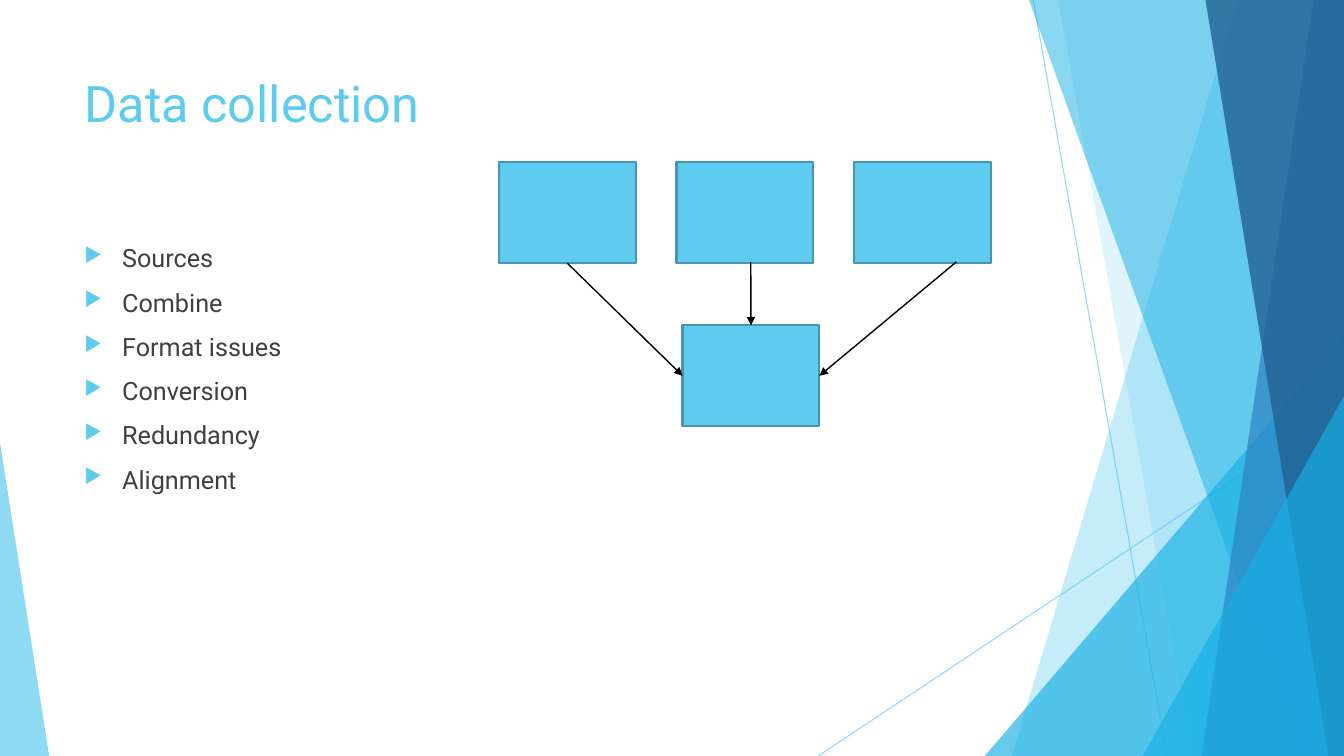
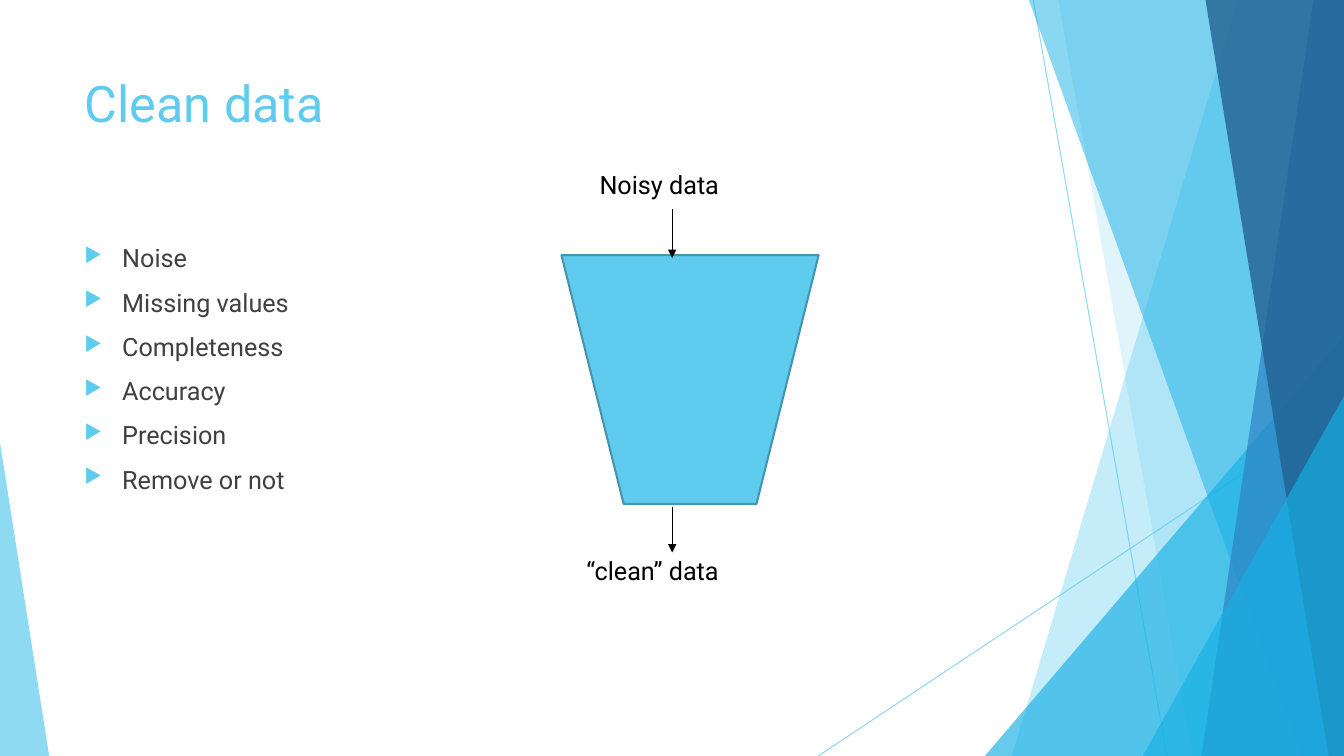
from dataclasses import dataclass

from lxml.etree import SubElement
from pptx import Presentation
from pptx.dml.color import RGBColor
from pptx.enum.shapes import MSO_CONNECTOR, MSO_SHAPE
from pptx.enum.text import MSO_ANCHOR, MSO_AUTO_SIZE, PP_ALIGN
from pptx.oxml.ns import qn
from pptx.shapes.autoshape import Shape
from pptx.shapes.connector import Connector
from pptx.slide import Slide, SlideLayout
from pptx.text.text import TextFrame
from pptx.util import Cm, Pt

WIDTH, HEIGHT = 33.87, 19.05
FONT = "Roboto"
COLOURS = {
    "sky": "5FCBEF",
    "cyan": "17B0E4",
    "blue": "2E83C3",
    "navy": "226292",
    "outline": "4696B1",
    "body": "404040",
    "black": "000000",
}


@dataclass(frozen=True)
class Band:
    """Area from a slanted left edge to the right side of the slide."""
    top_x: float
    bottom_x: float
    colour: str
    opacity: int


@dataclass(frozen=True)
class Wedge:
    """Right triangle standing on the bottom of the slide."""
    left: float
    top: float
    width: float
    apex: int
    colour: str
    opacity: int


@dataclass(frozen=True)
class Line:
    x1: float
    y1: float
    x2: float
    y2: float


@dataclass(frozen=True)
class Label:
    text: str
    left: float
    top: float


BACKDROP_LINES = [
    Line(26.04, 0, 29.41, HEIGHT),
    Line(WIDTH, 10.24, 20.62, HEIGHT),
]
BACKDROP_AREAS = [
    Band(31.19, 25.5, "sky", 36),
    Band(26.67, 30.05, "sky", 20),
    Wedge(24.82, 8.46, WIDTH - 24.82, 1, "cyan", 66),
    Band(25.93, 32.79, "cyan", 50),
    Band(33.1, 30.28, "blue", 70),
    Band(30.38, 33.48, "navy", 80),
    Wedge(28.8, 9.98, WIDTH - 28.8, 1, "cyan", 66),
    Wedge(0, 11.15, 1.24, 0, "sky", 70),
]

BOX_WIDTH, BOX_HEIGHT = 3.45, 2.54
SOURCE_LEFT, SOURCE_TOP, SOURCE_STEP = 12.57, 4.09, 4.48
FUNNEL_LABELS = [
    Label("Noisy data", 14.86, 4.14),
    Label("“clean” data", 14.53, 13.87),
]
FUNNEL_ARROWS = [
    Line(16.94, 5.26, 16.94, 6.5),
    Line(16.94, 12.78, 16.94, 13.92),
]


def rgb(name: str) -> RGBColor:
    return RGBColor.from_string(COLOURS[name])


def set_opacity(item: Shape | Connector, percent: int) -> None:
    colour = item.element.spPr.find(".//" + qn("a:srgbClr"))
    SubElement(colour, qn("a:alpha"), val=str(percent * 1000))


def add_line(page: Slide, line: Line, *, colour: str = "black",
             weight: float = 1, arrow: bool = True) -> Connector:
    connector = page.shapes.add_connector(
        MSO_CONNECTOR.STRAIGHT,
        Cm(line.x1), Cm(line.y1), Cm(line.x2), Cm(line.y2))
    connector.line.color.rgb = rgb(colour)
    connector.line.width = Pt(weight)
    properties = connector.element.spPr
    if arrow:
        SubElement(properties.find(qn("a:ln")), qn("a:tailEnd"), type="triangle")
    SubElement(properties, qn("a:effectLst"))
    return connector


def paint(shape: Shape, colour: str, outline: str | None = None) -> None:
    shape.shadow.inherit = False
    shape.fill.solid()
    shape.fill.fore_color.rgb = rgb(colour)
    if outline:
        shape.line.color.rgb = rgb(outline)
        shape.line.width = Pt(1.5)
    else:
        shape.line.fill.background()


def add_block(page: Slide, kind: MSO_SHAPE, left: float, top: float,
              width: float, height: float) -> Shape:
    block = page.shapes.add_shape(kind, Cm(left), Cm(top), Cm(width), Cm(height))
    paint(block, "sky", "outline")
    return block


def add_band(page: Slide, band: Band) -> Shape:
    outline = page.shapes.build_freeform(Cm(band.top_x), 0)
    outline.add_line_segments([
        (Cm(WIDTH), 0), (Cm(WIDTH), Cm(HEIGHT)), (Cm(band.bottom_x), Cm(HEIGHT))])
    return outline.convert_to_shape()


def add_wedge(page: Slide, wedge: Wedge) -> Shape:
    shape = page.shapes.add_shape(
        MSO_SHAPE.ISOSCELES_TRIANGLE, Cm(wedge.left), Cm(wedge.top),
        Cm(wedge.width), Cm(HEIGHT - wedge.top))
    shape.adjustments[0] = wedge.apex
    return shape


def add_backdrop(page: Slide, layout: SlideLayout) -> None:
    """Draw the backdrop on a page, then move it to the layout that pages share."""
    for holder in list(layout.placeholders):
        if holder.placeholder_format.idx != 0:
            holder.element.getparent().remove(holder.element)
    for line in BACKDROP_LINES:
        connector = add_line(page, line, colour="sky", weight=0.75, arrow=False)
        set_opacity(connector, 70)
    for area in BACKDROP_AREAS:
        shape = add_band(page, area) if isinstance(area, Band) else add_wedge(page, area)
        paint(shape, area.colour)
        set_opacity(shape, area.opacity)
    for item in list(page.shapes):
        if not item.is_placeholder:
            layout.shapes.element.append(item.element)


def write(frame: TextFrame, lines: list[str], *, size: float = 18,
          colour: str = "black", space_before: float = 0) -> None:
    frame.word_wrap = True
    frame.vertical_anchor = MSO_ANCHOR.TOP
    for index, text in enumerate(lines):
        para = frame.add_paragraph() if index else frame.paragraphs[0]
        para.alignment = PP_ALIGN.LEFT
        para.space_before = Pt(space_before)
        span = para.add_run()
        span.text = text
        span.font.name = FONT
        span.font.size = Pt(size)
        span.font.color.rgb = rgb(colour)


def add_title(page: Slide, text: str) -> None:
    title = page.shapes.title
    title.left, title.top = Cm(1.88), Cm(1.7)
    title.width, title.height = Cm(23.88), Cm(3.66)
    title.text_frame.auto_size = MSO_AUTO_SIZE.NONE
    write(title.text_frame, [text], size=36, colour="sky")


def add_bullets(page: Slide, lines: list[str], width: float) -> None:
    box = page.shapes.add_textbox(Cm(1.88), Cm(5.99), Cm(width), Cm(10.77))
    write(box.text_frame, lines, colour="body", space_before=10)
    indent = Cm(0.95)
    for properties in box.element.iter(qn("a:pPr")):
        properties.set("marL", str(indent))
        properties.set("indent", str(-indent))
        bullet_colour = SubElement(properties, qn("a:buClr"))
        SubElement(bullet_colour, qn("a:srgbClr"), val=COLOURS["sky"])
        SubElement(properties, qn("a:buSzPct"), val="80000")
        SubElement(properties, qn("a:buChar"), char="▶")


def add_label(page: Slide, label: Label) -> None:
    box = page.shapes.add_textbox(Cm(label.left), Cm(label.top), Cm(4.83), Cm(1.02))
    write(box.text_frame, [label.text])
    box.text_frame.auto_size = MSO_AUTO_SIZE.SHAPE_TO_FIT_TEXT


def draw_collection(page: Slide) -> None:
    """Three sources that flow into one combined box."""
    sources = [
        add_block(page, MSO_SHAPE.RECTANGLE, SOURCE_LEFT + index * SOURCE_STEP,
                  SOURCE_TOP, BOX_WIDTH, BOX_HEIGHT)
        for index in range(3)
    ]
    combined = add_block(page, MSO_SHAPE.RECTANGLE, 17.2, 8.2, BOX_WIDTH, BOX_HEIGHT)
    arrows = [
        (Line(14.3, 6.63, 17.2, 9.47), 1),
        (Line(18.92, 6.6, 18.92, 8.2), 0),
        (Line(24.1, 6.6, 20.65, 9.47), 3),
    ]
    connectors = []
    for line, side in arrows:
        connector = add_line(page, line)
        connector.end_connect(combined, side)
        connectors.append(connector)
    connectors[0].begin_connect(sources[0], 2)


def draw_funnel(page: Slide) -> None:
    funnel = add_block(page, MSO_SHAPE.TRAPEZOID, 14.15, 6.43, 6.48, 6.27)
    funnel.rotation = 180
    for label in FUNNEL_LABELS:
        add_label(page, label)
    for arrow in FUNNEL_ARROWS:
        add_line(page, arrow)


def main() -> None:
    deck = Presentation()
    deck.slide_width, deck.slide_height = Cm(WIDTH), Cm(HEIGHT)
    layout = deck.slide_layouts[5]

    collection = deck.slides.add_slide(layout)
    add_backdrop(collection, layout)
    add_title(collection, "Data collection")
    add_bullets(collection, ["Sources", "Combine", "Format issues", "Conversion",
                             "Redundancy", "Alignment"], 9.78)
    draw_collection(collection)

    cleaning = deck.slides.add_slide(layout)
    add_title(cleaning, "Clean data")
    add_bullets(cleaning, ["Noise", "Missing values", "Completeness", "Accuracy",
                           "Precision", "Remove or not"], 8.56)
    draw_funnel(cleaning)

    deck.save("out.pptx")


if __name__ == "__main__":
    main()
